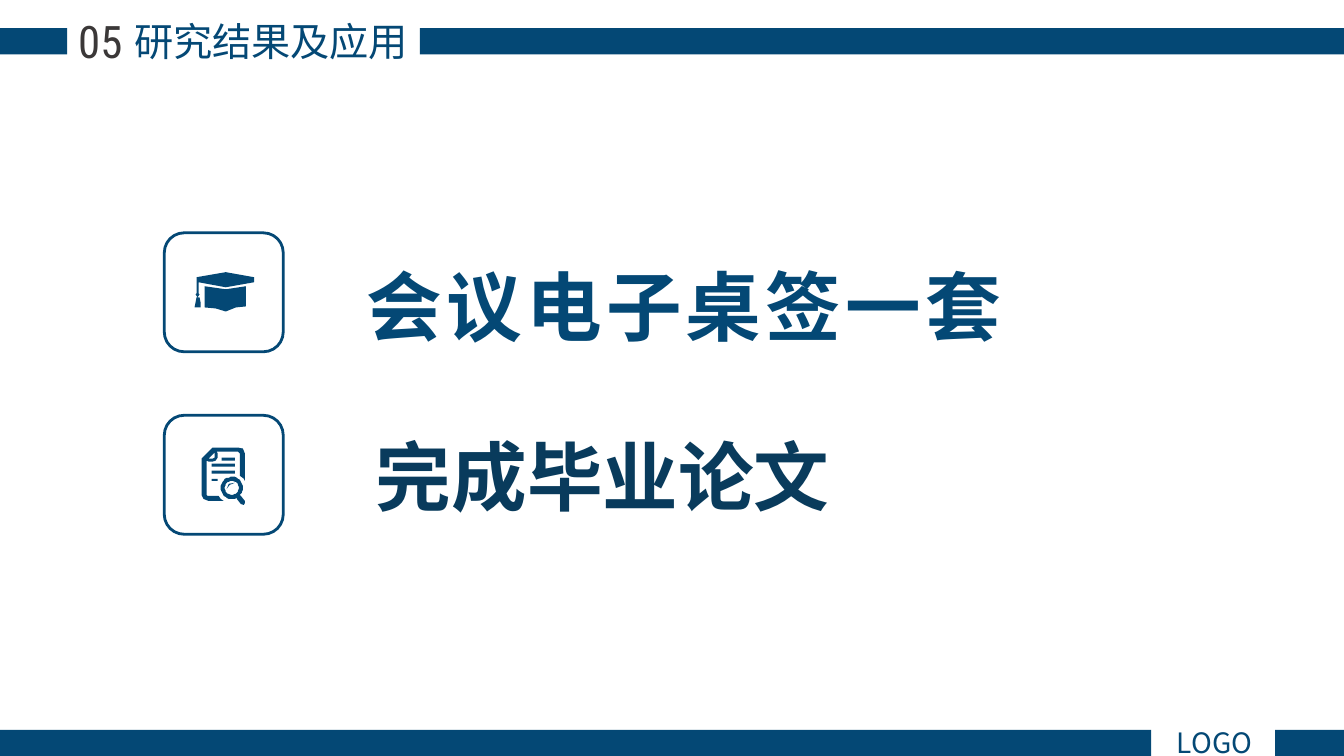
from dataclasses import dataclass
from math import cos, radians, sin

from lxml.etree import SubElement
from pptx import Presentation
from pptx.dml.color import RGBColor
from pptx.enum.shapes import MSO_SHAPE
from pptx.enum.text import MSO_AUTO_SIZE, PP_ALIGN
from pptx.oxml.ns import qn
from pptx.util import Pt


@dataclass(frozen=True)
class Theme:
    navy: RGBColor = RGBColor(0x04, 0x48, 0x75)
    dark_navy: RGBColor = RGBColor(0x09, 0x3B, 0x5C)
    grey: RGBColor = RGBColor(0x3B, 0x38, 0x38)
    chinese: str = "Noto Sans CJK SC"
    condensed: str = "Roboto Condensed"
    headline: int = 54
    number: int = 32
    title: int = 28
    footer: int = 20


THEME = Theme()
PAGE_WIDTH, PAGE_HEIGHT = 960, 540
BAR_HEIGHT = 18.72
FRAME_LEFT, FRAME_SIZE = 117.36, 84.96
ICON_UNIT = 0.72  # points per icon grid step


def rectangle(left, top, right, bottom):
    return [(left, top), (right, top), (right, bottom), (left, bottom)]


def arc(center_x, center_y, radius, start, end, steps=32):
    angles = [radians(start + (end - start) * step / steps) for step in range(steps + 1)]
    return [(center_x + radius * cos(angle), center_y + radius * sin(angle)) for angle in angles]


# Icon outlines, on a grid that starts at the frame's top left corner
CAP = [
    [(40, 74), (51, 75), (61, 78), (71, 74.5), (81, 73), (81, 53), (61, 56), (40, 53)],
    [(89, 44), (89, 49), (61, 54), (34, 49), (34, 60), (35, 61), (33, 64), (31, 61),
     (32, 60), (32, 44), (61, 39)],
    [(35, 64), (32, 64), (31, 69), (30, 74), (36, 74), (36, 69)],
]
PAPER = [(48, 32), (73, 32), (78, 33), (80, 38), (80, 65), (79, 63), (75, 60), (75, 38),
         (74, 37), (73, 36), (52, 36), (53, 38), (53, 42), (51, 45), (48, 46), (44, 46),
         (42, 45), (42, 79), (43, 80), (54, 80), (56, 83), (59, 85), (44, 85), (39, 83),
         (37, 79), (37, 43), (38, 42)]
FOLD = [(50, 37), (44, 43), (48, 43), (50, 42)]
TEXT_LINES = [rectangle(47, 63, 53, 65), rectangle(47, 55, 70, 58),
              rectangle(47, 48, 70, 51), rectangle(57, 42, 70, 45)]
HANDLE = [(76, 80), (80, 85), (80.5, 87), (79, 89), (76, 88), (72, 83)]
MAGNIFIER = [arc(67, 72, 11, 63, 400) + HANDLE, arc(67, 72, 7, 0, 360),
             [(62, 73), (65, 69), (70, 67), (64, 68)]]
SEARCH_PAPER = [PAPER, FOLD, *TEXT_LINES, *MAGNIFIER]


class SlideWriter:
    def __init__(self, page, theme):
        self.page = page
        self.theme = theme

    def bar(self, left, top, width):
        bar = self.page.shapes.add_shape(
            MSO_SHAPE.RECTANGLE, Pt(left), Pt(top), Pt(width), Pt(BAR_HEIGHT))
        self.fill(bar)

    def fill(self, shape):
        shape.shadow.inherit = False
        shape.fill.solid()
        shape.fill.fore_color.rgb = self.theme.navy
        shape.line.fill.background()

    def icon(self, top, outlines):
        builder = self.page.shapes.build_freeform(*outlines[0][0], scale=Pt(ICON_UNIT))
        for index, outline in enumerate(outlines):
            if index:
                builder.move_to(*outline[0])
            builder.add_line_segments(outline[1:], close=True)
        self.fill(builder.convert_to_shape(Pt(FRAME_LEFT), Pt(top)))

        frame = self.page.shapes.add_shape(
            MSO_SHAPE.ROUNDED_RECTANGLE, Pt(FRAME_LEFT), Pt(top), Pt(FRAME_SIZE), Pt(FRAME_SIZE))
        frame.shadow.inherit = False
        frame.fill.background()
        frame.line.color.rgb = self.theme.navy
        frame.line.width = Pt(2)

    def text(self, words, left, top, width, height, size, color=None, font=None,
             align=PP_ALIGN.CENTER, bold=False, spacing=0):
        box = self.page.shapes.add_textbox(Pt(left), Pt(top), Pt(width), Pt(height))
        frame = box.text_frame
        frame.word_wrap = True
        frame.auto_size = MSO_AUTO_SIZE.SHAPE_TO_FIT_TEXT
        frame.text = words
        para = frame.paragraphs[0]
        para.alignment = align
        span = para.runs[0]
        span.font.size = Pt(size)
        span.font.bold = bold
        span.font.color.rgb = color or self.theme.navy
        span.font.name = font or self.theme.chinese
        properties = span.font._element
        SubElement(properties, qn("a:ea")).set("typeface", span.font.name)
        if spacing:
            properties.set("spc", str(spacing * 100))


def main():
    deck = Presentation()
    deck.slide_width, deck.slide_height = Pt(PAGE_WIDTH), Pt(PAGE_HEIGHT)
    writer = SlideWriter(deck.slides.add_slide(deck.slide_layouts[6]), THEME)

    # Header
    writer.bar(0, 20.16, 48)
    writer.bar(300, 20.16, PAGE_WIDTH - 300)
    writer.text("研究结果及应用", 64.08, 8.64, 259.2, 41.04, THEME.title)
    writer.text("05", 43.2, 6.48, 56.88, 46.08, THEME.number, THEME.grey, THEME.condensed)

    # Footer
    footer_top = PAGE_HEIGHT - BAR_HEIGHT
    writer.bar(910.8, footer_top, PAGE_WIDTH - 910.8)
    writer.bar(0, footer_top, 822.24)
    writer.text("LOGO", 808.56, 514.8, 118.08, 31.68, THEME.footer)

    # Results
    writer.icon(166.32, CAP)
    writer.icon(296.64, SEARCH_PAPER)
    headline = dict(width=606.24, height=72.72, size=THEME.headline,
                    align=PP_ALIGN.LEFT, bold=True)
    writer.text("会议电子桌签一套", 254.88, 182.16, spacing=3, **headline)
    writer.text("完成毕业论文", 261.36, 303.84, color=THEME.dark_navy, **headline)

    deck.save("out.pptx")


if __name__ == "__main__":
    main()
